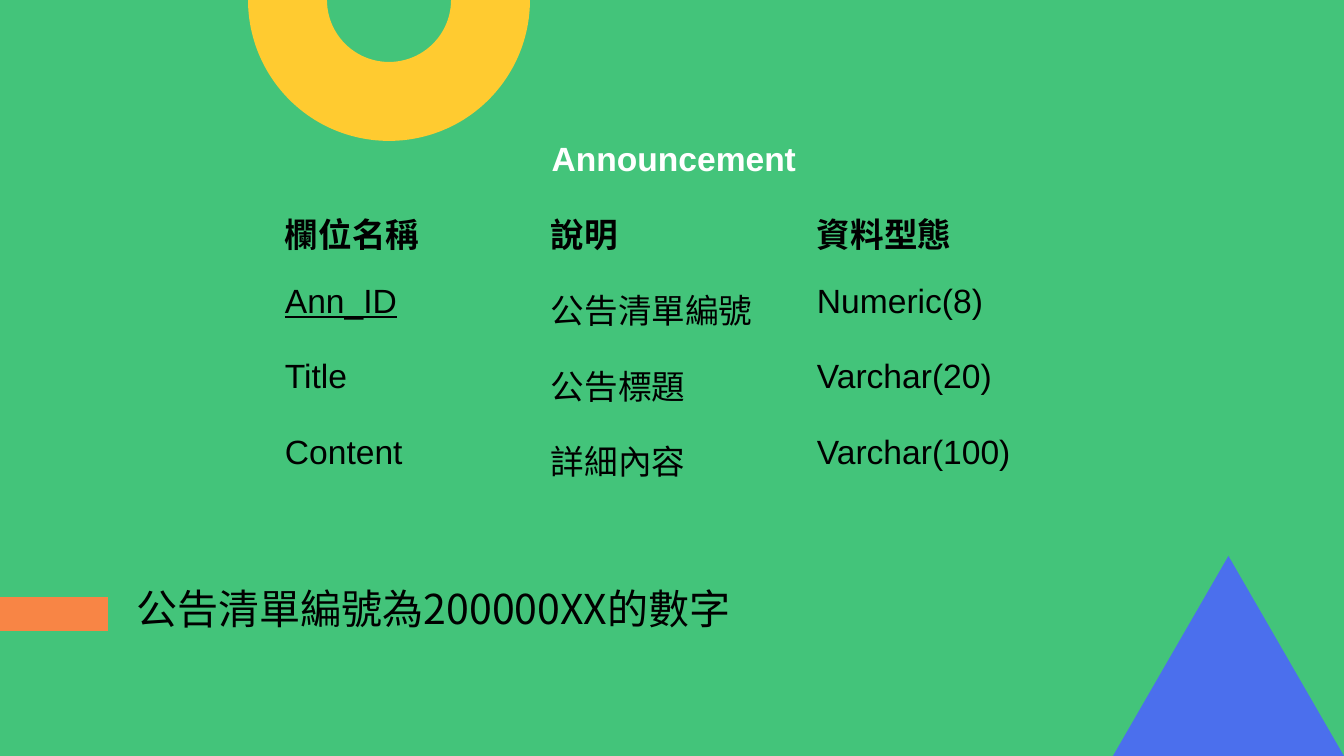
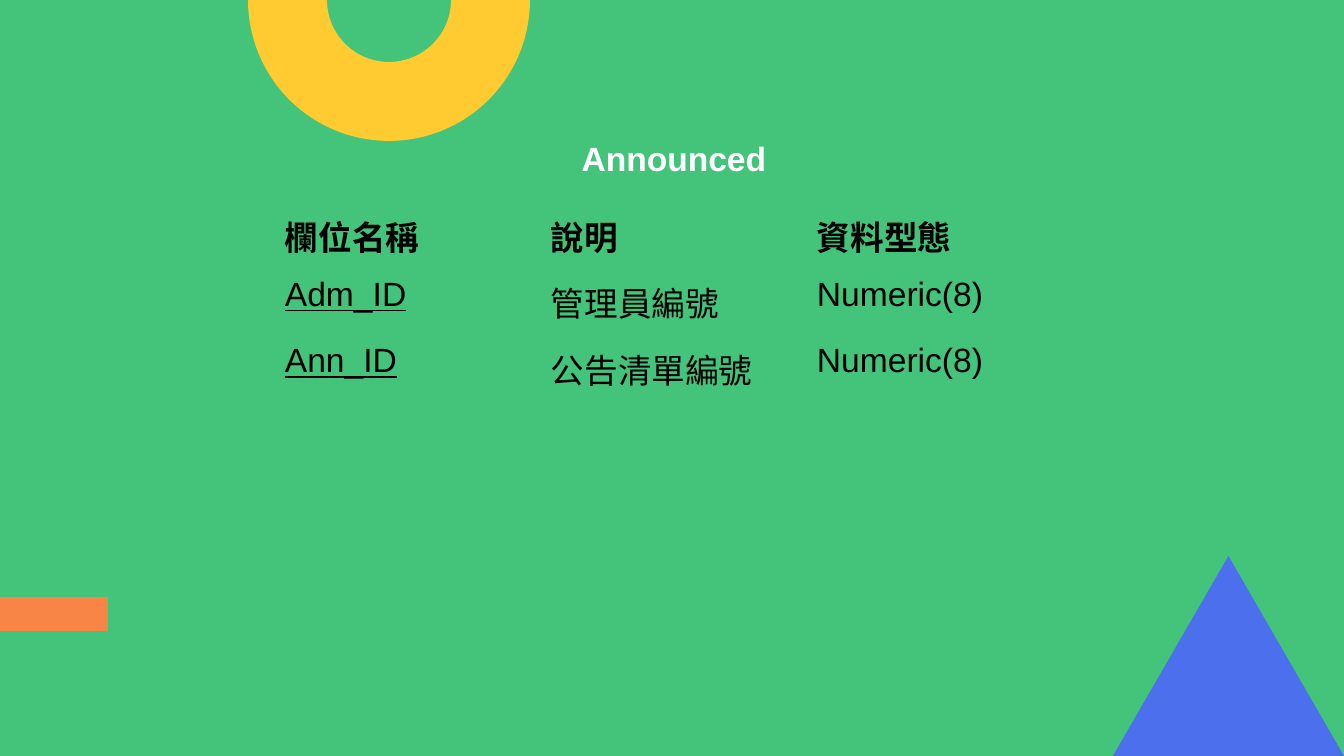
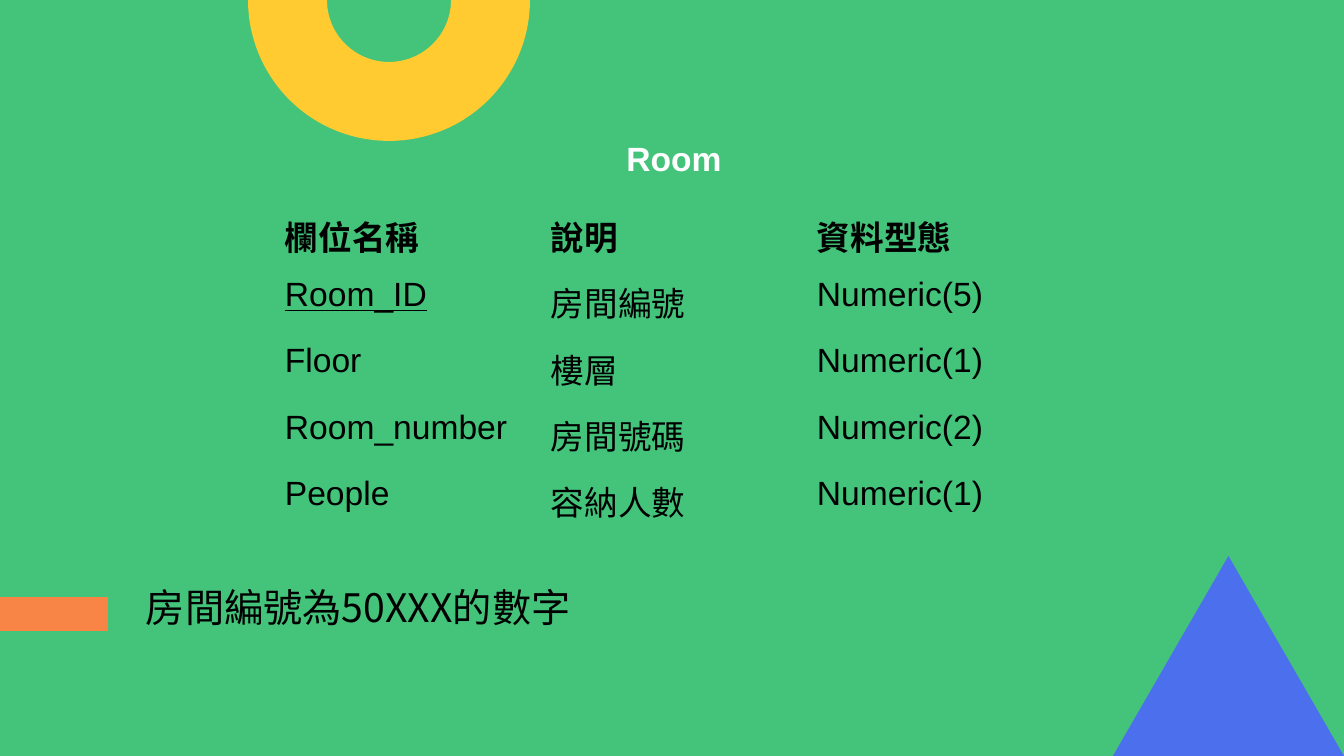
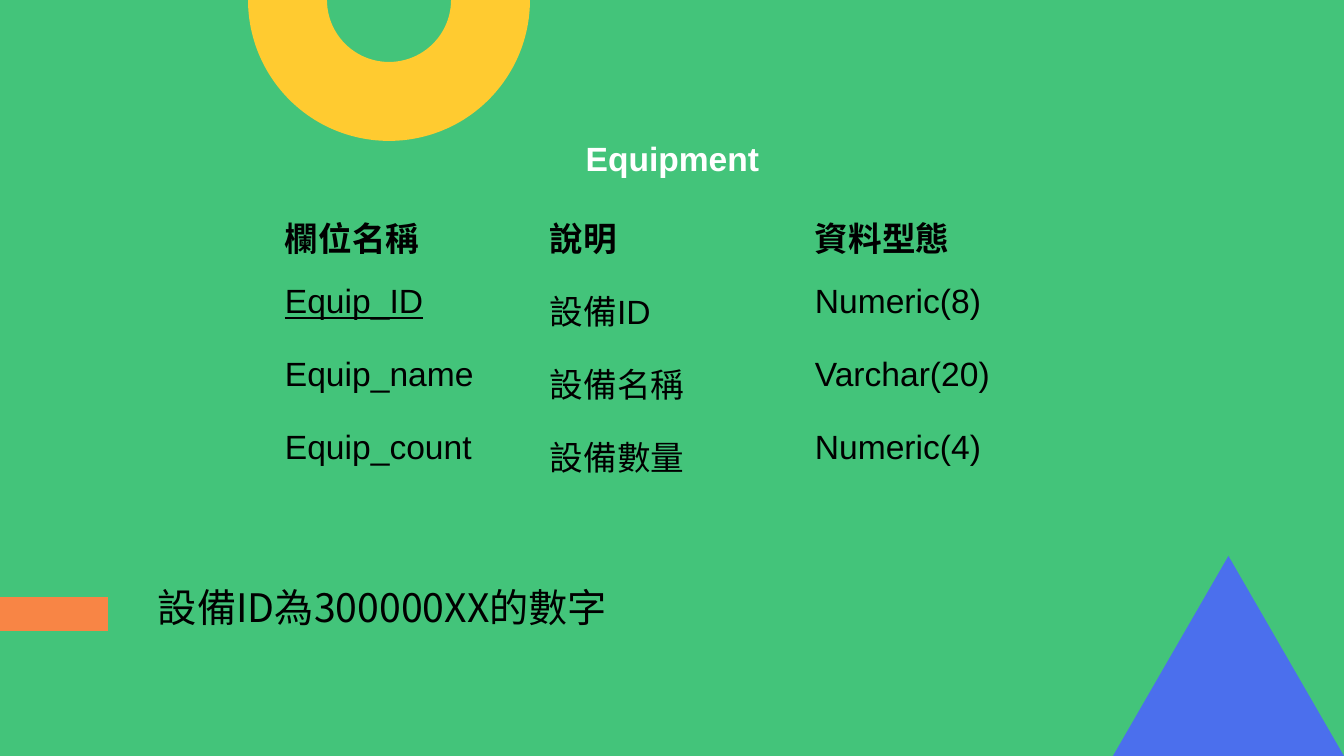
from dataclasses import dataclass
from typing import NamedTuple

from lxml import etree
from pptx import Presentation
from pptx.dml.color import RGBColor
from pptx.enum.shapes import MSO_SHAPE
from pptx.enum.text import MSO_AUTO_SIZE, PP_ALIGN
from pptx.oxml.ns import qn
from pptx.util import Emu, Pt

DONUT = MSO_SHAPE.DONUT
TRIANGLE = MSO_SHAPE.ISOSCELES_TRIANGLE
RECTANGLE = MSO_SHAPE.RECTANGLE
GROW = MSO_AUTO_SIZE.SHAPE_TO_FIT_TEXT
LEFT, CENTER = PP_ALIGN.LEFT, PP_ALIGN.CENTER

EMU_PER_PX = 914400 / 134.4
BLANK_LAYOUT = 6
HEADINGS = ("欄位名稱", "說明", "資料型態")


@dataclass(frozen=True)
class Theme:
    green: str = "43C47A"
    yellow: str = "FFCB30"
    blue: str = "4B6FED"
    orange: str = "F88545"
    black: str = "000000"
    white: str = "FFFFFF"
    latin: str = "Arial"
    cjk: str = "Noto Sans CJK TC"
    table_size: int = 18
    line_spacing: float = 1.15
    border: float = 0.75


class Box(NamedTuple):
    left: int
    top: int
    width: int
    height: int


class Note(NamedTuple):
    text: str
    size: int
    box: Box


class Entity(NamedTuple):
    title: str
    fields: tuple
    column: int = 266
    row: int = 55
    note: Note | None = None


THEME = Theme()
SLIDE = Box(0, 0, 1344, 756)
TABLE_LEFT, TABLE_TOP = 275, 122

ENTITIES = (
    Entity(
        "Announcement",
        (
            ("Ann_ID", "公告清單編號", "Numeric(8)"),
            ("Title", "公告標題", "Varchar(20)"),
            ("Content", "詳細內容", "Varchar(100)"),
        ),
        note=Note("公告清單編號為200000XX的數字", 22, Box(124, 563, 644, 77)),
    ),
    Entity(
        "Announced",
        (
            ("Adm_ID", "管理員編號", "Numeric(8)"),
            ("Ann_ID", "公告清單編號", "Numeric(8)"),
        ),
    ),
    Entity(
        "Room",
        (
            ("Room_ID", "房間編號", "Numeric(5)"),
            ("Floor", "樓層", "Numeric(1)"),
            ("Room_number", "房間號碼", "Numeric(2)"),
            ("People", "容納人數", "Numeric(1)"),
        ),
        note=Note("房間編號為50XXX的數字", 21, Box(133, 563, 476, 75)),
    ),
    Entity(
        "Equipment",
        (
            ("Equip_ID", "設備ID", "Numeric(8)"),
            ("Equip_name", "設備名稱", "Varchar(20)"),
            ("Equip_count", "設備數量", "Numeric(4)"),
        ),
        column=265,
        row=73,
        note=Note("設備ID為300000XX的數字", 21, Box(145, 563, 507, 75)),
    ),
)


def px(length):
    return Emu(round(length * EMU_PER_PX))


def place(box):
    return [px(length) for length in box]


def write_text(frame, text, *, size=THEME.table_size, font=THEME.latin,
               color=THEME.black, bold=False, underline=False, align=LEFT):
    paragraph = frame.paragraphs[0]
    paragraph.alignment = align
    paragraph.line_spacing = THEME.line_spacing
    run = paragraph.add_run()
    run.text = text
    run.font.size = Pt(size)
    run.font.name = font
    run.font.bold = bold
    run.font.underline = underline
    run.font.color.rgb = RGBColor.from_string(color)
    east_asian = etree.SubElement(run.font._element, qn("a:ea"))
    east_asian.set("typeface", THEME.cjk)


def set_margins(holder, margin):
    holder.margin_left = holder.margin_right = px(margin)
    holder.margin_top = holder.margin_bottom = px(margin)


def add_clear_borders(cell):
    properties = cell._tc.get_or_add_tcPr()
    for position, side in enumerate(("lnL", "lnR", "lnT", "lnB")):
        line = etree.Element(qn(f"a:{side}"), w=str(Pt(THEME.border)))
        fill = etree.SubElement(line, qn("a:solidFill"))
        color = etree.SubElement(fill, qn("a:srgbClr"), val=THEME.black)
        etree.SubElement(color, qn("a:alpha"), val="0")
        properties.insert(position, line)


def add_ornament(shapes, kind, box, color):
    ornament = shapes.add_shape(kind, *place(box))
    ornament.shadow.inherit = False
    ornament.fill.solid()
    ornament.fill.fore_color.rgb = RGBColor.from_string(color)
    ornament.line.fill.background()
    return ornament


def decorate_layout(layout, slide, box):
    backdrop = layout.background.fill
    backdrop.solid()
    backdrop.fore_color.rgb = RGBColor.from_string(THEME.green)
    right, bottom = box.left + box.width, box.top + box.height
    ring = add_ornament(slide.shapes, DONUT,
                        Box(box.left + 248, box.top - 141, 282, 282), THEME.yellow)
    ring.adjustments[0] = 0.28
    peak = add_ornament(slide.shapes, TRIANGLE,
                        Box(right - 231, bottom - 200, 231, 200), THEME.blue)
    tab = add_ornament(slide.shapes, RECTANGLE,
                       Box(box.left - 56, box.top + 597, 164, 34), THEME.orange)
    for ornament in (ring, peak, tab):
        layout.shapes.element.append(ornament.element)


def add_entity_table(slide, entity, box):
    rows = (HEADINGS, *entity.fields)
    table = slide.shapes.add_table(len(rows) + 1, len(HEADINGS), *place(box)).table
    table.first_row = table.horz_banding = False
    for column in table.columns:
        column.width = px(entity.column)
    for row in table.rows:
        row.height = px(entity.row)
    for cell in table.iter_cells():
        cell.fill.background()
        set_margins(cell, 10)
        add_clear_borders(cell)

    banner = table.cell(0, 0)
    banner.merge(table.cell(0, len(HEADINGS) - 1))
    set_margins(banner, 13)
    write_text(banner.text_frame, entity.title, color=THEME.white, bold=True, align=CENTER)
    for r, values in enumerate(rows, start=1):
        for c, value in enumerate(values):
            is_key = c == 0 and value.endswith("_ID")
            write_text(table.cell(r, c).text_frame, value, bold=r == 1, underline=is_key)


def add_note(slide, note):
    frame = slide.shapes.add_textbox(*place(note.box)).text_frame
    frame.word_wrap = True
    frame.auto_size = GROW
    set_margins(frame, 13)
    write_text(frame, note.text, size=note.size, font=THEME.cjk)


def fill_entity_slide(slide, entity, box):
    table_box = Box(box.left + TABLE_LEFT, box.top + TABLE_TOP,
                    entity.column * len(HEADINGS),
                    entity.row * (len(entity.fields) + 2))
    add_entity_table(slide, entity, table_box)
    if entity.note:
        add_note(slide, entity.note)


def main():
    deck = Presentation()
    deck.slide_width, deck.slide_height = px(SLIDE.width), px(SLIDE.height)
    layout = deck.slide_layouts[BLANK_LAYOUT]
    slides = [deck.slides.add_slide(layout) for _ in ENTITIES]
    decorate_layout(layout, slides[0], SLIDE)
    for slide, entity in zip(slides, ENTITIES):
        fill_entity_slide(slide, entity, SLIDE)
    deck.save("out.pptx")


if __name__ == "__main__":
    main()
